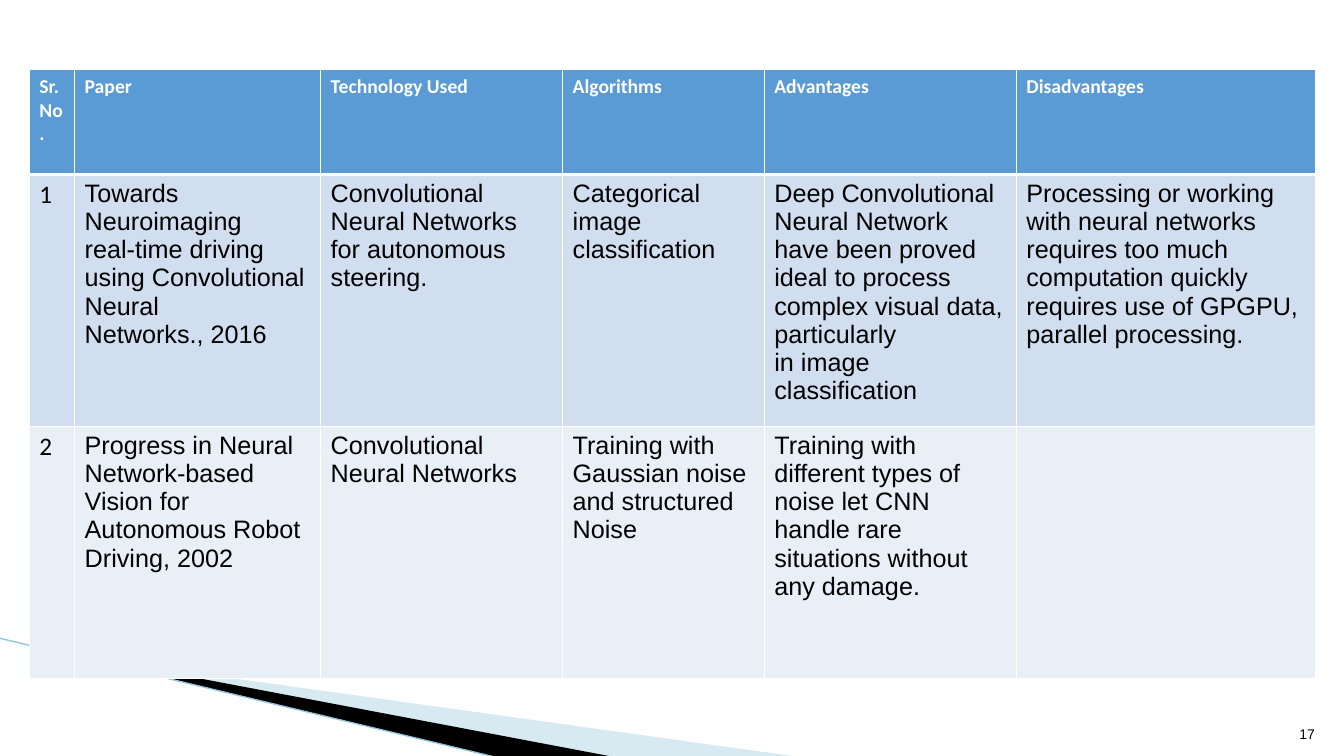
from lxml import etree
from pptx import Presentation
from pptx import util as u
from pptx.dml.color import RGBColor
from pptx.enum import shapes, text
from pptx.oxml.ns import qn

# Content: each cell is a list of paragraphs
HEADERS = ["Sr. No.", "Paper", "Technology Used", "Algorithms", "Advantages", "Disadvantages"]
PAPERS = [
    [["1"],
     ["Towards Neuroimaging", "real-time driving using Convolutional Neural", "Networks., 2016"],
     ["Convolutional Neural Networks for autonomous steering."],
     ["Categorical image classification"],
     ["Deep Convolutional Neural Network have been proved", "ideal to process",
      "complex visual data, particularly", "in image classification"],
     ["Processing or working with neural networks requires too much computation quickly "
      "requires use of GPGPU, parallel processing."]],
    [["2"],
     ["Progress in Neural Network-based Vision for Autonomous Robot Driving, 2002"],
     ["Convolutional Neural Networks"],
     ["Training with Gaussian noise and structured Noise"],
     ["Training with different types of noise let CNN handle rare situations without any damage."],
     []],
]
PAGE_NUMBER = "17"

# Layout and colours
COLUMN_WIDTHS = [0.45, 2.44, 2.4, 2, 2.5, 2.97]
ROW_HEIGHTS = [1.04, 2.5, 2.5]
ROW_FILLS = ["5B9BD5", "D1DEEF", "E9EFF7"]
THIN, THICK = 0.96, 3
SWOOSHES = [  # points, colour, opacity in percent
    ([(0.73, 6.51), (7.93, 7.51), (6.08, 7.51), (0.73, 6.5)], "9CCADC", 40),
    ([(0.71, 6.49), (6.09, 7.51), (4.96, 7.52), (0.72, 6.5)], "000000", 100),
]


def color(value):
    return RGBColor.from_string(value)


def add_swoosh(slide, points, fill, opacity):
    corners = [(u.Inches(x), u.Inches(y)) for x, y in points]
    builder = slide.shapes.build_freeform(*corners[0])
    builder.add_line_segments(corners[1:], close=True)
    shape = builder.convert_to_shape()
    shape.shadow.inherit = False
    shape.line.fill.background()
    shape.fill.solid()
    shape.fill.fore_color.rgb = color(fill)
    if opacity < 100:
        fill_color = shape.fill._xPr.find(qn("a:solidFill"))[0]
        etree.SubElement(fill_color, qn("a:alpha"), val=str(opacity * 1000))


def set_borders(cell, widths):
    properties = cell._tc.get_or_add_tcPr()
    for position, (side, width) in enumerate(widths.items()):
        line = etree.Element(qn(f"a:ln{side}"), w=str(u.Pt(width)))
        fill = etree.SubElement(line, qn("a:solidFill"))
        etree.SubElement(fill, qn("a:srgbClr"), val="FFFFFF")
        properties.insert(position, line)


def fill_cell(cell, paragraphs, row, column):
    cell.fill.solid()
    cell.fill.fore_color.rgb = color(ROW_FILLS[row])
    set_borders(cell, {"L": THIN, "R": THIN, "T": THICK if row == 1 else THIN,
                       "B": THICK if row == 0 else THIN})
    cell.text_frame.text = "\n".join(paragraphs)
    for paragraph in cell.text_frame.paragraphs:
        font = paragraph.font
        font.name = "Calibri" if row == 0 or column == 0 else "Arial"
        font.size = u.Pt(14 if row == 0 else 18)
        font.bold = row == 0
        font.color.rgb = color("FFFFFF" if row == 0 else "000000")


def main():
    presentation = Presentation()
    presentation.slide_width, presentation.slide_height = u.Inches(13.33), u.Inches(7.5)
    slide = presentation.slides.add_slide(presentation.slide_layouts[6])

    # Corner decoration
    for points, fill, opacity in SWOOSHES:
        add_swoosh(slide, points, fill, opacity)
    edge = slide.shapes.add_connector(shapes.MSO_CONNECTOR.STRAIGHT, u.Inches(-0.01),
                                      u.Inches(6.33), u.Inches(4.95), u.Inches(7.52))
    edge.line.color.rgb = color("93C5D8")
    edge.line.width = u.Pt(0.95)
    etree.SubElement(edge._element.spPr, qn("a:effectLst"))

    # Literature table
    table = slide.shapes.add_table(
        len(ROW_HEIGHTS), len(COLUMN_WIDTHS), u.Inches(0.29), u.Inches(0.69),
        u.Inches(sum(COLUMN_WIDTHS)), u.Inches(sum(ROW_HEIGHTS))).table
    for column, width in zip(table.columns, COLUMN_WIDTHS):
        column.width = u.Inches(width)
    for row, height in zip(table.rows, ROW_HEIGHTS):
        row.height = u.Inches(height)
    for row, contents in enumerate([[[header] for header in HEADERS]] + PAPERS):
        for column, paragraphs in enumerate(contents):
            fill_cell(table.cell(row, column), paragraphs, row, column)

    # Page number
    number = slide.shapes.add_textbox(u.Inches(12.61), u.Inches(7.01), u.Inches(0.53), u.Inches(0.4))
    frame = number.text_frame
    frame.word_wrap = True
    frame.vertical_anchor = text.MSO_ANCHOR.BOTTOM
    paragraph = frame.paragraphs[0]
    paragraph.text = PAGE_NUMBER
    paragraph.alignment = text.PP_ALIGN.RIGHT
    paragraph.font.name = "Arial"
    paragraph.font.size = u.Pt(10)
    paragraph.font.color.rgb = color("000000")

    presentation.save("out.pptx")


if __name__ == "__main__":
    main()
